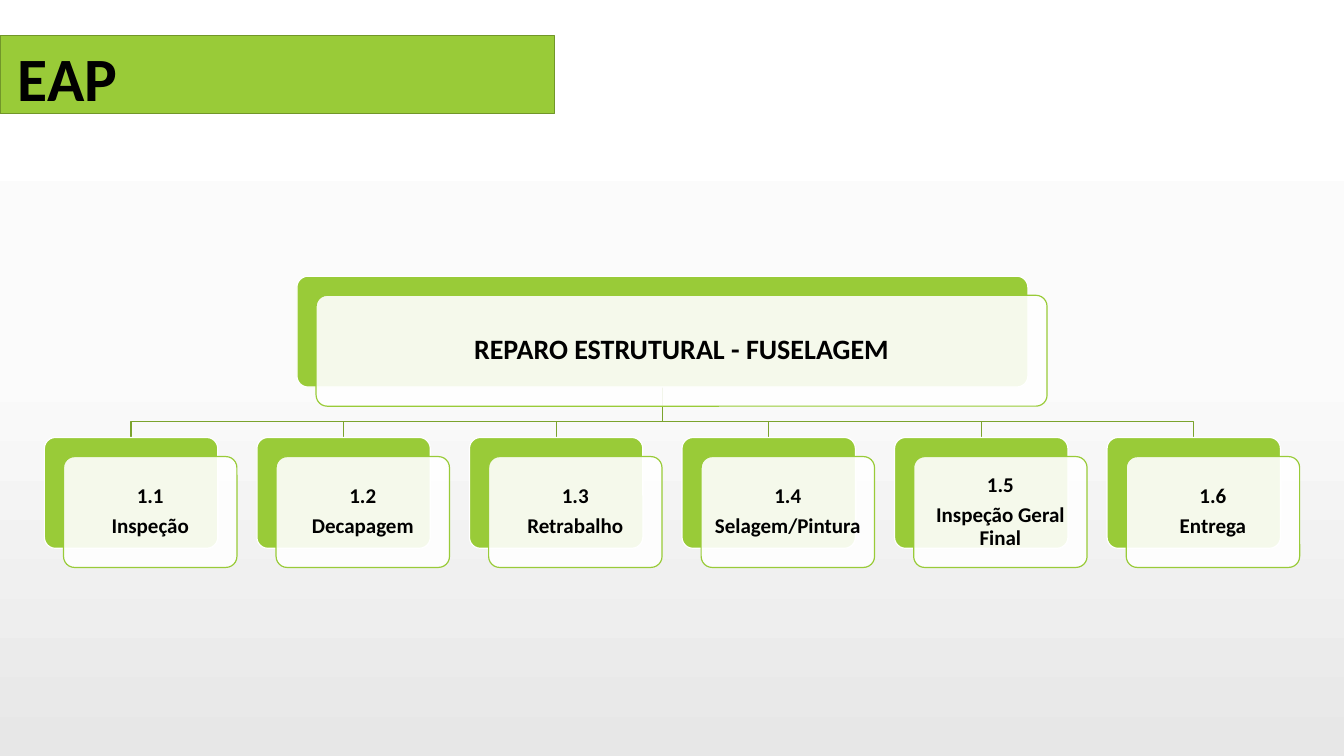
from copy import deepcopy

from pptx import Presentation
from pptx.dml.color import RGBColor
from pptx.enum.shapes import MSO_SHAPE
from pptx.enum.text import MSO_ANCHOR, PP_ALIGN
from pptx.oxml.ns import qn
from pptx.util import Inches, Pt
from lxml import etree

RECT = MSO_SHAPE.RECTANGLE
ROUND = MSO_SHAPE.ROUNDED_RECTANGLE
MIDDLE = MSO_ANCHOR.MIDDLE
CENTER = PP_ALIGN.CENTER

GREEN, WHITE, BLACK = "99CB38", "FFFFFF", "000000"
STOPS = [(0, "FFFFFF"), (0.48, "FBFBFB"), (1, "E7E7E7")]
SHIFT = 0.19  # offset of each front card from its back plate
TASKS = ["Inspeção", "Decapagem", "Retrabalho", "Selagem/Pintura",
         "Inspeção Geral Final", "Entrega"]


def color(code):
    return RGBColor.from_string(code)


def outline(shape, code):
    shape.shadow.inherit = False
    shape.line.color.rgb = color(code)
    shape.line.width = Pt(0.85)


def block(slide, kind, box, fill, line):
    shape = slide.shapes.add_shape(kind, *map(Inches, box))
    shape.fill.solid()
    shape.fill.fore_color.rgb = color(fill)
    outline(shape, line)
    return shape


def write(frame, lines, size):
    frame.word_wrap = True
    frame.text = "\n".join(lines)
    for para in frame.paragraphs:
        font = para.font
        font.name, font.size, font.bold = "Calibri", Pt(size), True
        font.color.rgb = color(BLACK)


def backdrop(slide):
    fill = slide.background.fill
    fill.gradient()
    fill.gradient_angle = 270
    stops = slide._element.find(".//" + qn("a:gsLst"))
    stops.append(deepcopy(stops[0]))
    for stop, (place, code) in zip(fill.gradient_stops, STOPS):
        stop.position = place
        stop.color.rgb = color(code)


def banner(slide, box, text):
    left, top, _, _ = box
    block(slide, RECT, box, GREEN, "719629")
    label = slide.shapes.add_textbox(*map(Inches, (left + 0.08, top, 3.62, 0.84)))
    write(label.text_frame, [text], 44)


def card(slide, box, lines, size, inset):
    left, top, width, height = box
    plate = block(slide, ROUND, box, GREEN, WHITE)
    front = block(slide, ROUND, (left + SHIFT, top + SHIFT, width, height), WHITE, GREEN)
    for shape in (plate, front):
        shape.adjustments[0] = 0.1

    # Let the plate show faintly through the front card
    tint = front._element.spPr.find(qn("a:solidFill"))[0]
    etree.SubElement(tint, qn("a:alpha")).set("val", "90000")

    frame = front.text_frame
    write(frame, lines, size)
    frame.vertical_anchor = MIDDLE
    frame.margin_left = frame.margin_right = Inches(inset)
    frame.margin_top = frame.margin_bottom = Inches(inset)
    for para in frame.paragraphs:
        para.alignment = CENTER
        para.line_spacing = 0.9
        para.space_after = Pt(0.35 * size)


def elbow(slide, start, end):
    (x, y), (to_x, to_y) = start, end
    bend = y + 0.34
    points = [(x, bend), (to_x, bend), (to_x, to_y)]
    path = slide.shapes.build_freeform(Inches(x), Inches(y))
    path.add_line_segments([(Inches(a), Inches(b)) for a, b in points], close=False)
    shape = path.convert_to_shape()
    shape.fill.background()
    outline(shape, "7BA32D")


def tree(slide, box):
    left, top, width, _ = box
    wide, tall, head = 1.72, 1.1, 7.25
    step = (width - SHIFT - wide) / (len(TASKS) - 1)
    root = left + (width - SHIFT - head) / 2
    row = top + 1.6
    spots = [left + i * step for i in range(len(TASKS))]

    # Branches lie behind the cards
    for spot in spots:
        elbow(slide, (root + head / 2, top + tall), (spot + wide / 2, row))

    # Root and its work packages
    card(slide, (root, top, head, tall), ["REPARO ESTRUTURAL - FUSELAGEM"], 20, 0.08)
    for i, (spot, task) in enumerate(zip(spots, TASKS), 1):
        card(slide, (spot, row, wide, tall), [f"1.{i}", task], 15, 0.06)


def main():
    deck = Presentation()
    deck.slide_width, deck.slide_height = Inches(13.33), Inches(7.5)
    slide = deck.slides.add_slide(deck.slide_layouts[6])
    backdrop(slide)
    tree(slide, (0.44, 2.74, 12.45, 2.89))
    banner(slide, (0, 0.35, 5.5, 0.78), "EAP")
    deck.save("out.pptx")


if __name__ == "__main__":
    main()
